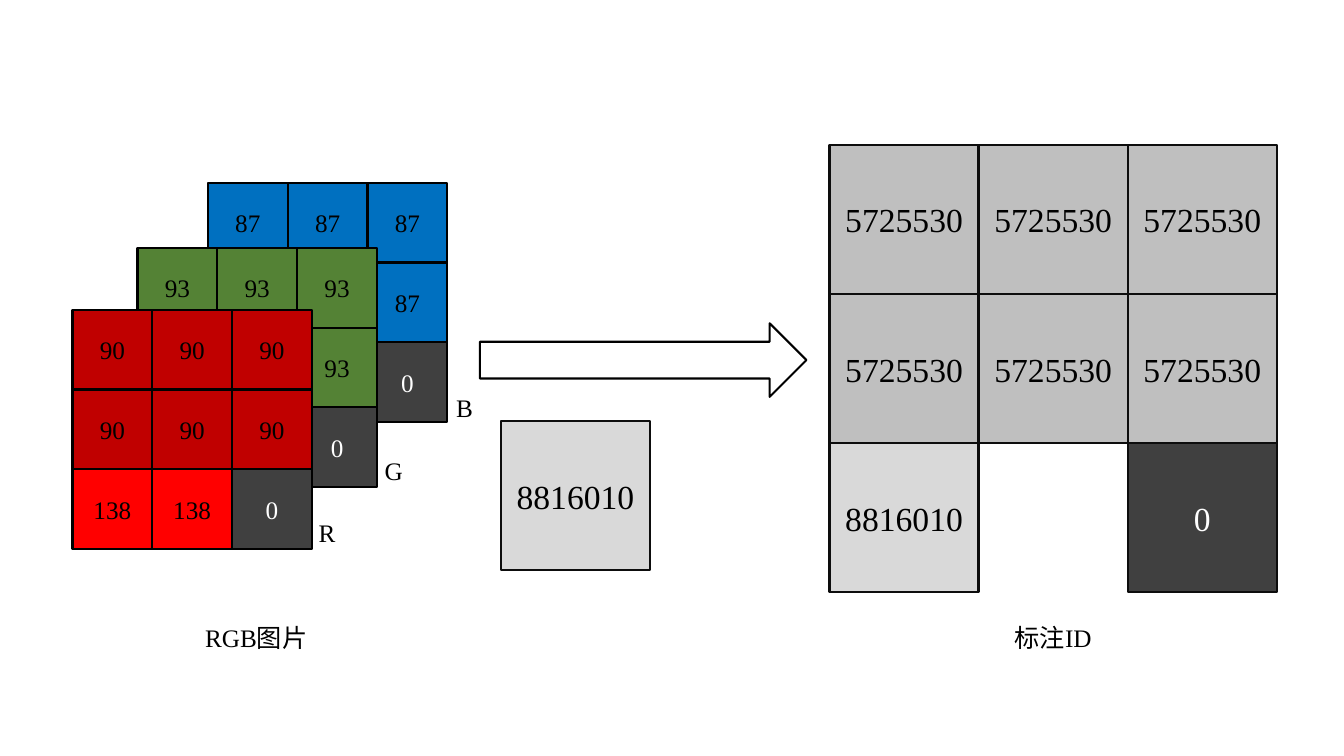
from dataclasses import dataclass

from pptx import Presentation
from pptx import util as u
from pptx.dml.color import RGBColor
from pptx.enum import shapes, text

PX = 9525  # EMU per px, 96 px to the inch


@dataclass(frozen=True)
class Theme:
    font: str = "Times New Roman"
    small: int = 18
    large: int = 24
    line_width: float = 1.5
    black: str = "000000"
    white: str = "FFFFFF"
    outline: str = "0D0D0D"
    empty: str = "404040"
    blue: str = "0070C0"
    green: str = "548235"
    bright_green: str = "00B050"
    dark_red: str = "C00000"
    red: str = "FF0000"
    gray: str = "BFBFBF"
    light_gray: str = "D9D9D9"


THEME = Theme()
CHANNEL_CELL = 76
ID_CELL = 142


def px(*lengths):
    return [u.Emu(length * PX) for length in lengths]


def write(shape, content, size, color):
    text_frame = shape.text_frame
    text_frame.word_wrap = True
    text_frame.text = content
    paragraph = text_frame.paragraphs[0]
    paragraph.alignment = text.PP_ALIGN.CENTER
    font = paragraph.runs[0].font
    font.name = THEME.font
    font.size = u.Pt(size)
    font.color.rgb = RGBColor.from_string(color)


def add_block(slide, kind, box, fill, line):
    shape = slide.shapes.add_shape(kind, *px(*box))
    shape.shadow.inherit = False
    shape.fill.solid()
    shape.fill.fore_color.rgb = RGBColor.from_string(fill)
    shape.line.color.rgb = RGBColor.from_string(line)
    shape.line.width = u.Pt(THEME.line_width)
    return shape


def add_cell(slide, left, top, side, value, fill, size, line):
    cell = add_block(slide, shapes.MSO_SHAPE.RECTANGLE, (left, top, side, side), fill, line)
    cell.text_frame.vertical_anchor = text.MSO_ANCHOR.MIDDLE
    color = THEME.white if fill == THEME.empty else THEME.black
    write(cell, value, size, color)


def add_grid(slide, left, top, side, rows, size, line):
    for row, cells in enumerate(rows):
        for column, cell in enumerate(cells):
            if cell:
                add_cell(slide, left + column * side, top + row * side, side, *cell, size, line)


def add_label(slide, left, top, width, content):
    label = slide.shapes.add_textbox(*px(left, top, width, 38))
    write(label, content, THEME.small, THEME.black)


def main():
    presentation = Presentation()
    presentation.slide_width, presentation.slide_height = px(1280, 720)
    slide = presentation.slides.add_slide(presentation.slide_layouts[6])

    # Colour channels, from back to front
    zero = ("0", THEME.empty)
    blue = ("87", THEME.blue)
    green = ("93", THEME.green)
    bright_green = ("93", THEME.bright_green)
    dark_red = ("90", THEME.dark_red)
    red = ("138", THEME.red)
    channels = [
        (198, 174, [[blue] * 3, [blue] * 3, [blue, blue, zero]]),
        (131, 236, [[green] * 3, [bright_green, bright_green, green],
                    [bright_green, bright_green, zero]]),
        (69, 295, [[dark_red] * 3, [dark_red] * 3, [red, red, zero]]),
    ]
    for left, top, rows in channels:
        add_grid(slide, left, top, CHANNEL_CELL, rows, THEME.small, THEME.black)

    # Label IDs, with one cell taken out of the grid
    gray = ("5725530", THEME.gray)
    light = ("8816010", THEME.light_gray)
    id_rows = [[gray] * 3, [gray] * 3, [light, None, zero]]
    add_grid(slide, 790, 138, ID_CELL, id_rows, THEME.large, THEME.outline)
    add_cell(slide, 477, 401, ID_CELL, *light, THEME.large, THEME.outline)

    # Conversion arrow
    add_block(slide, shapes.MSO_SHAPE.RIGHT_ARROW, (457, 308, 311, 70), THEME.white, THEME.black)

    # Captions and channel letters
    for label in [
        (106, 588, 276, "RGB图片"),
        (865, 588, 276, "标注ID"),
        (294, 488, 34, "R"),
        (357, 429, 34, "G"),
        (425, 369, 34, "B"),
    ]:
        add_label(slide, *label)

    presentation.save("out.pptx")


if __name__ == "__main__":
    main()
